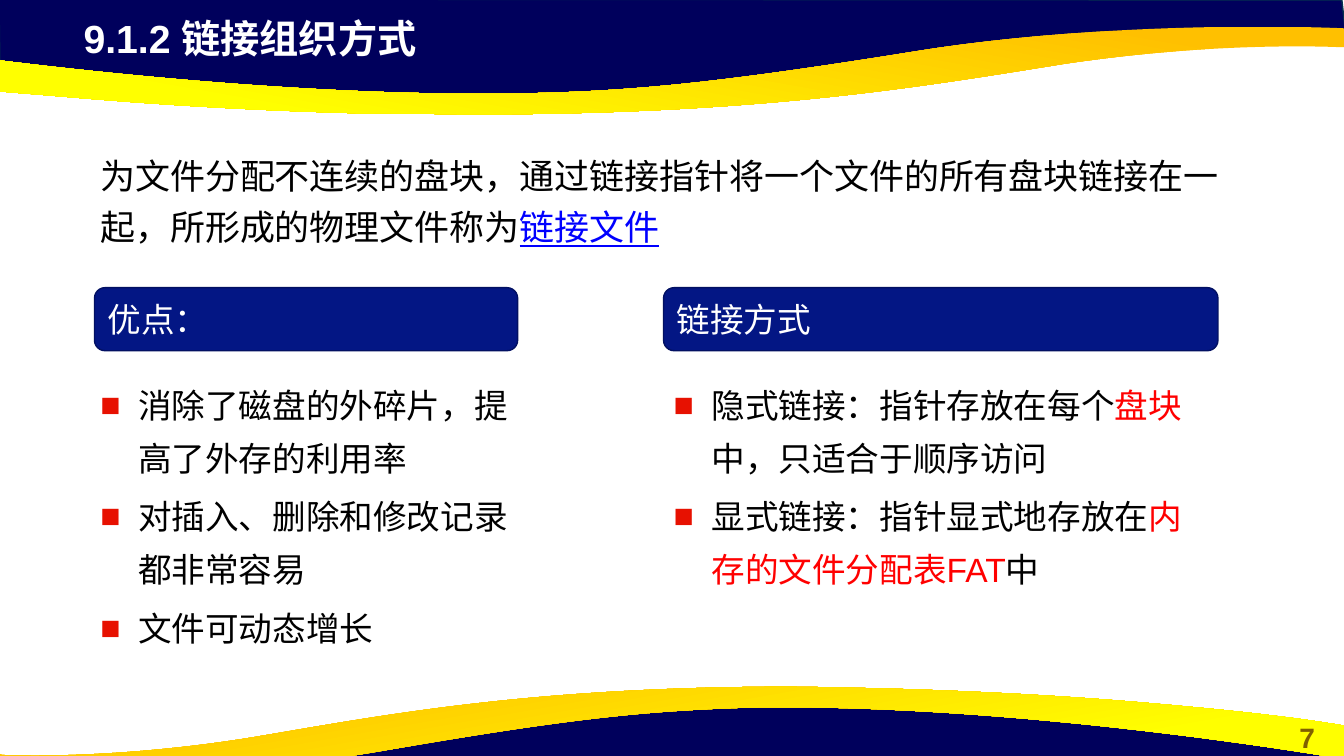
from lxml.etree import SubElement
from pptx import Presentation
from pptx.dml.color import RGBColor
from pptx.enum.shapes import MSO_SHAPE
from pptx.enum.text import MSO_ANCHOR, MSO_AUTO_SIZE, PP_ALIGN
from pptx.oxml.ns import qn
from pptx.util import Pt

SCALE = 9525
WIDTH, HEIGHT = 1280, 720
COLORS = {
    "navy": "00005C", "navy edge": "05304F", "orange": "FFC000", "yellow": "FFFF00",
    "label": "031684", "label edge": "021062", "bullet": "E71101", "red": "FF0000",
    "blue": "0000FF", "black": "000000", "white": "FFFFFF", "number": "806000",
}


def place(shape, left, top, width, height):
    shape.left, shape.top = left * SCALE, top * SCALE
    shape.width, shape.height = width * SCALE, height * SCALE


def write(para, pieces, size, bold=None):
    para.font.size = Pt(size)
    for words, color in pieces:
        span = para.add_run()
        span.text = words
        span.font.name = "Arial"
        span.font.size = Pt(size)
        span.font.bold = bold
        span.font.color.rgb = RGBColor.from_string(COLORS[color])
        if color == "blue":
            span.font.underline = True


deck = Presentation()
deck.slide_width, deck.slide_height = WIDTH * SCALE, HEIGHT * SCALE
page = deck.slides.add_slide(deck.slide_layouts[3])
title, left_list, right_list = page.placeholders

top_band = [(-1, -1), (0, 67), (281, 98), (537, 96), (763, 84), (975, 48),
            (1188, 32), (1282, 36), (1278, 0)]
bottom_band = [(x - 2, y + 664) for x, y in top_band]
top_ribbon = [
    (464, 109), (425, 109, 385, 108, 342, 108), (198, 104, 106, 96, 35, 90),
    (-84, 81, -125, 72, -128, 72), (-128, 40, -128, 40, -128, 40),
    (-128, 40, 209, 94, 496, 89), (600, 87, 680, 80, 878, 48),
    (1076, 17, 1280, 27, 1280, 27), (1280, 31), (1280, 45), (1277, 45),
    (1253, 44, 1147, 41, 1013, 61), (881, 82, 732, 108, 464, 109),
]
bottom_ribbon = [
    (741, 654), (777, 654, 813, 655, 852, 656), (984, 660, 1068, 667, 1132, 673),
    (1240, 683, 1277, 691, 1280, 691), (1280, 723, 1280, 723, 1280, 723),
    (1280, 723, 973, 669, 712, 674), (616, 677, 544, 684, 365, 715),
    (180, 747, -1, 737, -1, 737), (-1, 733), (-1, 718), (2, 719),
    (24, 720, 120, 722, 242, 702), (361, 682, 498, 655, 741, 654),
]

for outline, angle, turn in [(top_band, None, 0), (top_ribbon, 260, 0),
                             (bottom_band, None, 180), (bottom_ribbon, 280, 0)]:
    builder = page.shapes.build_freeform(*outline[0], scale=SCALE)
    builder.add_line_segments([step[-2:] for step in outline[1:]], close=True)
    wave = builder.convert_to_shape()
    left, top = round(wave.left / SCALE), round(wave.top / SCALE)
    for segment, step in zip(list(wave._element.iter(qn("a:lnTo"))), outline[1:]):
        if len(step) == 6:
            curve = segment.makeelement(qn("a:cubicBezTo"))
            for x, y in zip(step[::2], step[1::2]):
                SubElement(curve, qn("a:pt"), x=str(x - left), y=str(y - top))
            segment.getparent().replace(segment, curve)
    wave.rotation = turn
    wave.shadow.inherit = False
    if angle is None:
        wave.fill.solid()
        wave.fill.fore_color.rgb = RGBColor.from_string(COLORS["navy"])
        wave.line.color.rgb = RGBColor.from_string(COLORS["navy edge"])
        wave.line.width = Pt(1)
    else:
        wave.fill.gradient()
        wave.fill.gradient_angle = angle
        for stop, position, color in zip(wave.fill.gradient_stops, (0.11, 0.78),
                                         ("orange", "yellow")):
            stop.position = position
            stop.color.rgb = RGBColor.from_string(COLORS[color])
        wave.line.fill.background()

for holder in (title, left_list, right_list):
    page.shapes._spTree.append(holder._element)

place(title, 70, 9, 737, 55)
title.text_frame.auto_size = MSO_AUTO_SIZE.NONE
title.text_frame.vertical_anchor = MSO_ANCHOR.MIDDLE
title.text_frame.paragraphs[0].alignment = PP_ALIGN.LEFT
write(title.text_frame.paragraphs[0], [("9.1.2 链接组织方式", "white")], 28, True)

number = page.shapes.add_textbox(0, 0, 0, 0)
place(number, 1210, 681, 70, 42)
number.text_frame.word_wrap = True
number.text_frame.paragraphs[0].alignment = PP_ALIGN.CENTER
write(number.text_frame.paragraphs[0], [("7", "number")], 20, True)

definition = page.shapes.add_textbox(0, 0, 0, 0)
place(definition, 86, 133, 1093, 105)
definition.text_frame.word_wrap = True
definition.text_frame.paragraphs[0].line_spacing = 1.23
write(definition.text_frame.paragraphs[0], [
    ("为文件分配不连续的盘块，通过链接指针将一个文件的所有盘块链接在一起，所形成的物理文件称为", "black"),
    ("链接文件", "blue"),
], 25)

for heading, left, width in [("优点：", 90, 403), ("链接方式", 632, 528)]:
    label = page.shapes.add_shape(MSO_SHAPE.ROUNDED_RECTANGLE, 0, 0, 0, 0)
    place(label, left, 274, width, 60)
    label.shadow.inherit = False
    label.fill.solid()
    label.fill.fore_color.rgb = RGBColor.from_string(COLORS["label"])
    label.line.color.rgb = RGBColor.from_string(COLORS["label edge"])
    label.line.width = Pt(1)
    label.text_frame.vertical_anchor = MSO_ANCHOR.MIDDLE
    label.text_frame.paragraphs[0].alignment = PP_ALIGN.LEFT
    write(label.text_frame.paragraphs[0], [(heading, "white")], 24)

advantages = [
    [("消除了磁盘的外碎片，提高了外存的利用率", "black")],
    [("对插入、删除和修改记录都非常容易", "black")],
    [("文件可动态增长", "black")],
]
link_types = [
    [("隐式链接：指针存放在每个", "black"), ("盘块", "red"), ("中，只适合于顺序访问", "black")],
    [("显式链接：指针显式地存放在", "black"), ("内存的文件分配表FAT", "red"), ("中", "black")],
]
for box, left, width, height, items in [(left_list, 86, 435, 300, advantages),
                                        (right_list, 632, 528, 248, link_types)]:
    place(box, left, 349, width, height)
    frame = box.text_frame
    frame.auto_size = MSO_AUTO_SIZE.NONE
    for i, pieces in enumerate(items):
        para = frame.add_paragraph() if i else frame.paragraphs[0]
        para.line_spacing = 1.32
        para.space_before = Pt(3.7 if i else 0)
        props = para._p.get_or_add_pPr()
        props.set("marL", str(36 * SCALE))
        props.set("indent", str(-36 * SCALE))
        tint = SubElement(props, qn("a:buClr"))
        SubElement(tint, qn("a:srgbClr"), val=COLORS["bullet"])
        SubElement(props, qn("a:buFont"), typeface="Arial")
        SubElement(props, qn("a:buChar"), char="■")
        write(para, pieces, 24)

deck.save("out.pptx")
